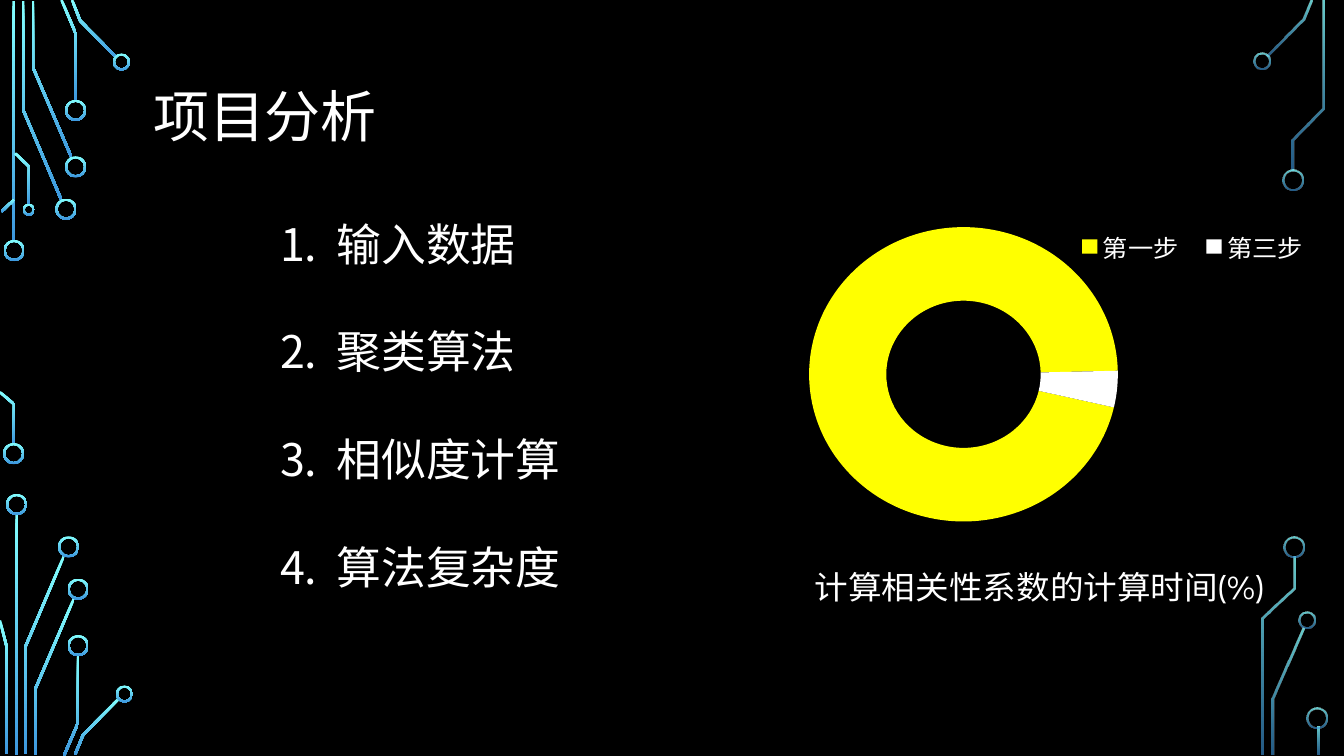
from math import hypot

from lxml import etree
from pptx import Presentation
from pptx.chart.data import CategoryChartData
from pptx.dml.color import RGBColor
from pptx.enum.chart import XL_CHART_TYPE, XL_LEGEND_POSITION
from pptx.enum.shapes import MSO_SHAPE
from pptx.enum.text import MSO_ANCHOR
from pptx.oxml.ns import qn
from pptx.util import Inches, Pt

DONUT, RECT = MSO_SHAPE.DONUT, MSO_SHAPE.RECTANGLE
RING_PLOT = XL_CHART_TYPE.DOUGHNUT
BOTTOM = XL_LEGEND_POSITION.BOTTOM
MIDDLE = MSO_ANCHOR.MIDDLE

THEME = {
    "back": RGBColor(0, 0, 0), "text": RGBColor(255, 255, 255),
    "main": RGBColor(255, 255, 0),
    "glow": (RGBColor(0x82, 0xFF, 0xFF), RGBColor(0x3D, 0x97, 0xDE)),
    "head": "Noto Sans CJK SC", "body": "Cabin",
    "title": Pt(40), "list": Pt(32), "name": Pt(24), "key": Pt(18),
    "small": Pt(10), "line": Pt(38.4),
}
CELL = Inches(0.01)  # the slide is a grid of 1333 columns and 750 rows
WIDE, EDGE = 2.5, 2  # trace and ring thickness in cells

deck = Presentation()
deck.slide_width, deck.slide_height = 1333 * CELL, 750 * CELL
slide = deck.slides.add_slide(deck.slide_layouts[6])
slide.background.fill.solid()
slide.background.fill.fore_color.rgb = THEME["back"]
shapes = slide.shapes


def cells(*spans):
    return [round(span * CELL) for span in spans]


def paint(shape, fade):
    shape.shadow.inherit = False
    shape.line.fill.background()
    shape.fill.gradient()
    shape.fill.gradient_angle = 270
    for stop, tone, part in zip(shape.fill.gradient_stops, THEME["glow"], fade):
        stop.color.rgb = tone
        if part < 100:
            rgb = stop._gs.find(qn("a:srgbClr"))
            etree.SubElement(rgb, qn("a:alpha"), val=str(part * 1000))


# Circuit traces: opacity, bars (x, top, bottom), bent lines, rings (x, y, size)
left = (
    (100, 100),
    [(13.5, 1, 240), (16.5, 510, 749)],
    [
        [(23, 1), (23, 109), (61, 198.5)],
        [(32.5, 1), (32.5, 66.5), (71, 156.5)],
        [(61, 0), (75, 33), (75, 100)],
        [(71.5, 0), (79.5, 20.5), (115.5, 57)],
        [(1.5, 210), (14, 198)],
        [(0, 389), (14, 401), (14, 441)],
        [(15, 152), (29, 165.5), (29, 203)],
        [(25.5, 748), (25.5, 641), (63.5, 551.5)],
        [(0, 615.5), (6.5, 641), (6.5, 748)],
        [(35.5, 749), (35.5, 682.5), (73.5, 593.5)],
        [(63.5, 749.5), (77.5, 717), (77.5, 650)],
        [(74.5, 748.5), (82.5, 729), (118, 693)],
    ],
    [(14, 248.5, 21), (13.5, 450, 21), (65.5, 207.5, 21), (75, 165.5, 21),
     (75, 109.5, 21), (120.5, 61.5, 17), (28.5, 208, 12), (16.5, 500.5, 21),
     (68, 542.5, 21), (77.5, 584.5, 21), (77.5, 640.5, 21), (123.5, 688.5, 17)],
)
right = (
    (80, 60),
    [(1307.5, 721, 749)],
    [
        [(1257, 55.5), (1292.5, 19.5), (1300.5, 0.5)],
        [(1262.5, 749), (1262.5, 693.5), (1293, 623.5)],
        [(1282, 169), (1282, 138.5), (1312.5, 107.5), (1312.5, 1)],
        [(1252.5, 749), (1252.5, 613.5), (1283.5, 583.5), (1283.5, 552)],
    ],
    [(1251.5, 60.5, 17), (1282.5, 178.5, 21), (1296.5, 615.5, 17),
     (1283, 542.5, 21), (1306.5, 712, 21)],
)
for fade, bars, lines, rings in (left, right):
    for x, top, end in bars:
        box = cells(x - WIDE / 2, top, WIDE, end - top)
        paint(shapes.add_shape(RECT, *box), fade)
    for line in lines:
        # Unit normals of the segments give mitred edges on both sides
        norms = []
        for (x1, y1), (x2, y2) in zip(line, line[1:]):
            size = hypot(x2 - x1, y2 - y1)
            norms.append(((y1 - y2) / size, (x2 - x1) / size))
        near, far = [], []
        for (x, y), (a, b), (c, d) in zip(line, norms[:1] + norms, norms + norms[-1:]):
            reach = WIDE / 2 / (1 + a * c + b * d)
            dx, dy = (a + c) * reach, (b + d) * reach
            near.append(cells(x + dx, y + dy))
            far.append(cells(x - dx, y - dy))
        rim = near + far[::-1]
        pen = shapes.build_freeform(*rim[0])
        pen.add_line_segments(rim[1:], close=True)
        paint(pen.convert_to_shape(), fade)
    for x, y, size in rings:
        ring = shapes.add_shape(DONUT, *cells(x - size / 2, y - size / 2, size, size))
        ring.adjustments[0] = EDGE / size
        paint(ring, fade)

# Title
frame = shapes.add_textbox(*cells(142, 71, 1083, 94)).text_frame
frame.word_wrap = True
frame.vertical_anchor = MIDDLE
para = frame.paragraphs[0]
para.text = "项目分析"
para.line_spacing = 0.9
para.font.size, para.font.name = THEME["title"], THEME["head"]
para.font.color.rgb = THEME["text"]

# Doughnut chart
data = CategoryChartData()
data.categories = ["第一步", "第二步", "第三步"]
data.add_series("Series 1", (96, 0, 4))
chart = shapes.add_chart(RING_PLOT, *cells(796, 210, 614, 403), data).chart
chart.has_title = chart.has_legend = True
plot, title, legend = chart.plots[0], chart.chart_title, chart.legend
title.text_frame.text = "计算相关性系数的计算时间(%)"
legend.position = BOTTOM
legend.include_in_layout = False
name = title.text_frame.paragraphs[0].font
name.bold = False
for font, size in ((chart.font, "small"), (name, "name"), (legend.font, "key")):
    font.size, font.name = THEME[size], THEME["body"]
    font.color.rgb = THEME["text"]
for step, tone in enumerate(("main", "text", "text")):
    fill = plot.series[0].points[step].format.fill
    fill.solid()
    fill.fore_color.rgb = THEME[tone]
plot._element.find(qn("c:firstSliceAng")).set("val", "103")
plot._element.find(qn("c:holeSize")).set("val", "43")

# The empty second step has no legend entry
entry = etree.Element(qn("c:legendEntry"))
etree.SubElement(entry, qn("c:idx"), val="1")
etree.SubElement(entry, qn("c:delete"), val="1")
legend._element.insert(1, entry)

# Chart parts, placed as shares of the chart
for part, slot, spots in (
    (plot._element.getparent(), 0, {"x": 0.01, "y": 0.04, "w": 0.5, "h": 0.76}),
    (title._element, 1, {"x": 0.01, "y": 0.88}),
    (legend._element, 2, {"x": 0.42, "y": 0.04, "w": 0.42, "h": 0.1}),
):
    for old in part.findall(qn("c:layout")):
        part.remove(old)
    layout = etree.Element(qn("c:layout"))
    rule = etree.SubElement(layout, qn("c:manualLayout"))
    if slot == 0:
        etree.SubElement(rule, qn("c:layoutTarget"), val="inner")
    for key in "xy":
        etree.SubElement(rule, qn(f"c:{key}Mode"), val="edge")
    for key, share in spots.items():
        etree.SubElement(rule, qn(f"c:{key}"), val=str(share))
    part.insert(slot, layout)

# Numbered list
frame = shapes.add_textbox(*cells(268, 210, 360, 387)).text_frame
frame.word_wrap = True
for row, topic in enumerate(("输入数据", "聚类算法", "相似度计算", "算法复杂度")):
    para = frame.add_paragraph() if row else frame.paragraphs[0]
    para.text = topic
    para.line_spacing = para.space_after = THEME["line"]
    para.font.size, para.font.name = THEME["list"], THEME["body"]
    para.font.color.rgb = THEME["text"]
    props = para._p.get_or_add_pPr()
    props.set("marL", str(Inches(0.56)))
    props.set("indent", str(-Inches(0.56)))
    mark = etree.Element(qn("a:buAutoNum"), type="arabicPeriod")
    props.find(qn("a:defRPr")).addprevious(mark)

deck.save("out.pptx")
